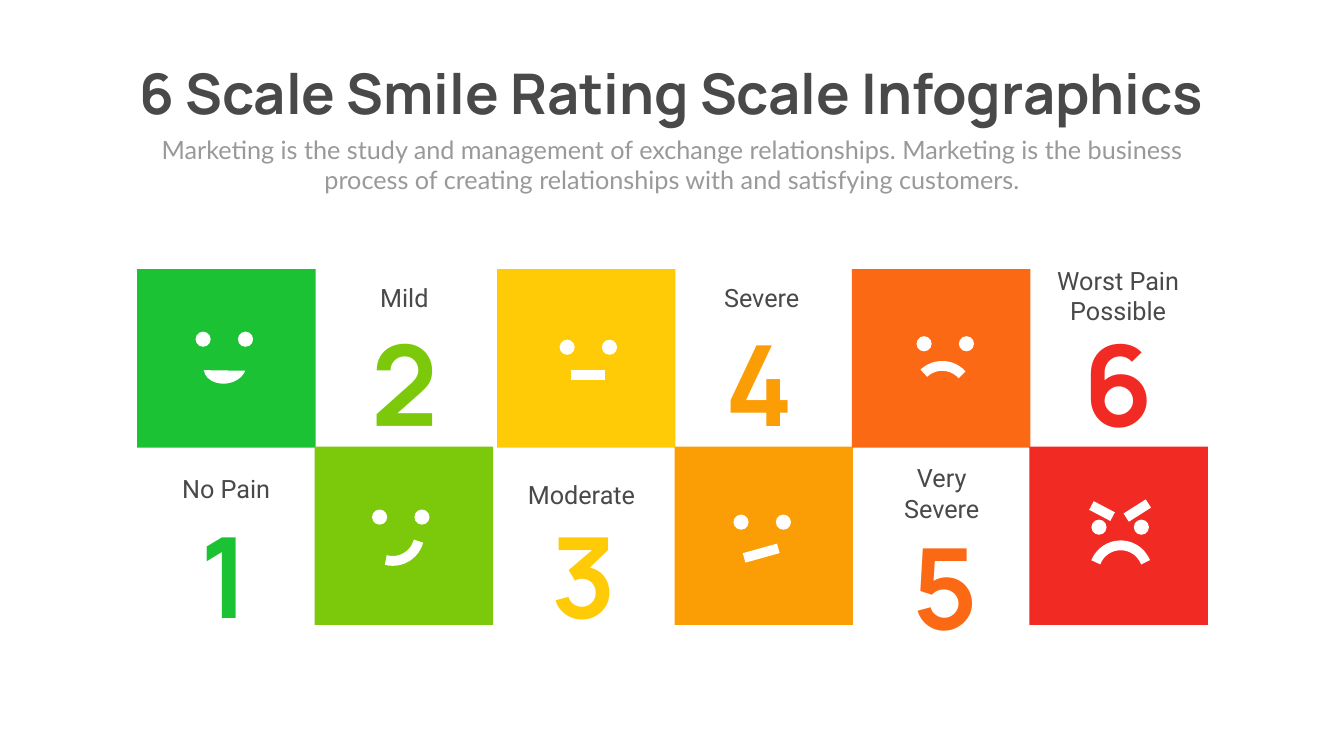
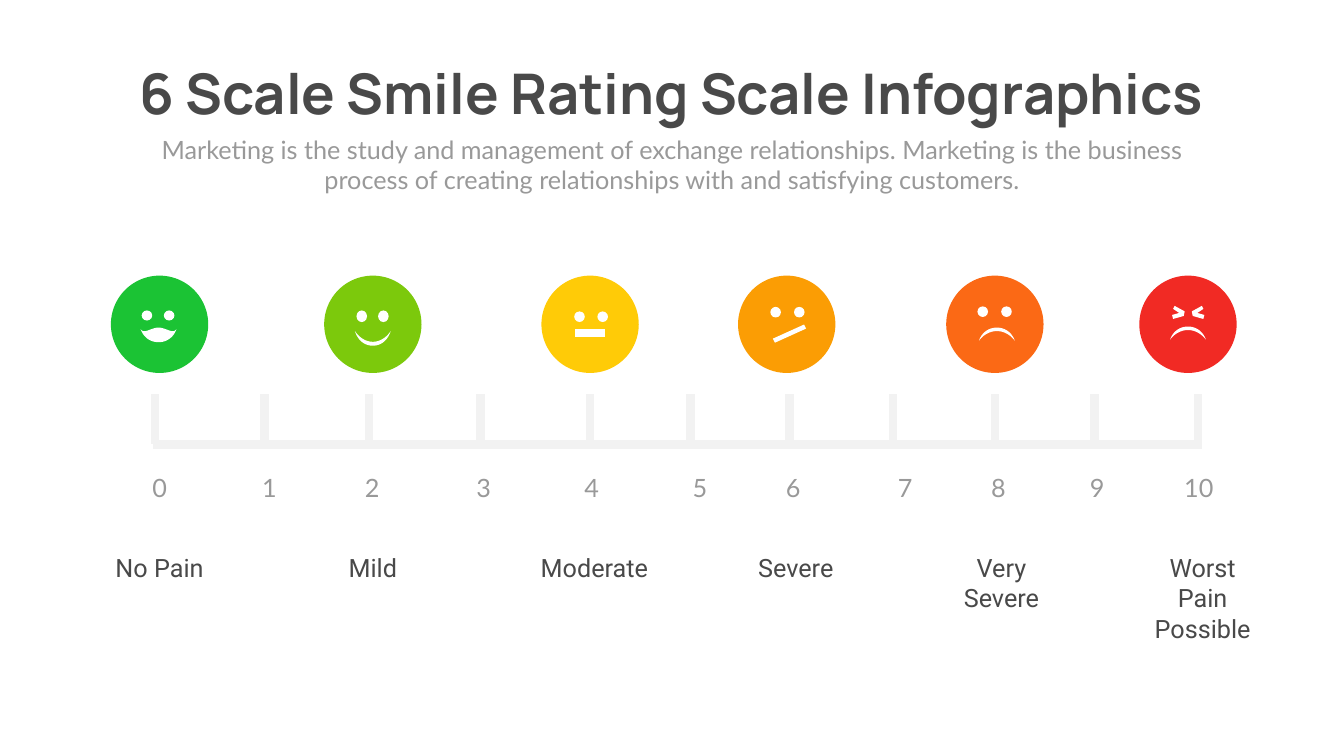
from dataclasses import dataclass

from pptx import Presentation
from pptx import util as u
from pptx.dml.color import RGBColor
from pptx.enum import shapes, text
from pptx.oxml import xmlchemy, ns


@dataclass(frozen=True)
class Theme:
    ink: str = "494949"
    muted: str = "999999"
    rule: str = "F2F2F2"
    white: str = "FFFFFF"
    ratings: tuple = ("1BC334", "7CC90C", "FFCB07", "FB9D04", "FB6915", "F12A24")
    title_font: str = "Manrope"
    body_font: str = "Lato"
    label_font: str = "Roboto"
    title_size: int = 80
    number_size: int = 160
    body_size: int = 36
    square_stroke: int = 14
    scale_stroke: int = 12


THEME = Theme()
TITLE = "6 Scale Smile Rating Scale Infographics"
SUBTITLE = ("Marketing is the study and management of exchange relationships. "
            "Marketing is the business process of creating relationships with "
            "and satisfying customers.")
KINDS = shapes.MSO_SHAPE
SQUARE = 254.88
SQUARE_STEP = 253.44
CIRCLE = 139
MOUTH_WIDTH = 51.1

SQUARE_EYES = ((83.5, 89.3), (82.1, 90), (89.3, 100.8), (84.2, 97.2), (92.2, 95.8), (88.6, 104.4))
SQUARE_CURVES = {
    0: (KINDS.CHORD, (102.2, 110.2, 46.1, 60.5), 262.7, (63.85, 162)),
    1: (KINDS.ARC, (73.4, 87.1, 76.3, 76.3), 105, (162, 0)),
    4: (KINDS.ARC, (90.7, 138.2, 76.3, 76.3), 318.1, (161.11, 0)),
    5: (KINDS.ARC, (92.2, 141.1, 76.3, 76.3), 318.1, (145.97, 12.37)),
}
SQUARE_LINES = {
    2: ((105.1, 151.2, 154.1, 151.2),),
    3: ((99.4, 159.1, 148.3, 145.4),),
    5: ((88.6, 84.2, 118.8, 100.1), (138.2, 101.5, 169.9, 81.4)),
}
SQUARE_CAPTIONS = (
    ("No Pain", 49.7, 35.3, 154.8), ("Mild", 63.4, 15.8, 129.6),
    ("Moderate", 28.1, 43.2, 185), ("Severe", 46.8, 15.8, 155.5),
    ("Very\nSevere", 17.3, 19.4, 221.8), ("Worst Pain Possible", 14.4, -9.4, 224.6),
)
SQUARE_NUMBERS = ((83.5, 81.4, 80.6), (72, 61.2, 114.5), (64.1, 81.4, 120.2),
                  (55.4, 61.2, 132.5), (69.1, 97.2, 128.2), (64.1, 61.2, 125.3))

CIRCLE_LEFTS = (158.4, 463, 773.3, 1054.1, 1351.4, 1627.2)
CIRCLE_EYES = {
    0: (43.9, 75.6, 49.7, 14.4), 1: (46.1, 77, 49.7, 16.6), 2: (46.8, 79.9, 51.1, 15.1),
    3: (46.1, 79.9, 44.6, 15.1), 4: (44.6, 78.5, 43.9, 15.1),
}
LAUGH = (((25.6, 0), (14.4, 0), (5, 10.1), (0, 2.2)),
         ((0, 2.2), (3.6, 13), (13, 20.9), (25.6, 20.9)))
FROWN = (((25.6, 0), (13, 0), (3.6, 7.9), (0, 18.7)),
         ((0, 18.7), (5.8, 10.8), (15.1, 5), (25.6, 5)))
SMILE = tuple(tuple((x, 20.9 - y * 1.12) for x, y in curve) for curve in FROWN)
CIRCLE_MOUTHS = {0: (LAUGH, 42.5, 74.2), 1: (SMILE, 43.9, 79.2),
                 4: (FROWN, 46.8, 74.2), 5: (FROWN, 43.9, 72.7)}
SLANTED_MOUTH = ((49.7, 90), (52.6, 95.8), (97.2, 75.6), (94.3, 69.8))
SQUINT = ((48.2, 61.9), (63.4, 57.6), (64.8, 51.1), (50.4, 43.2),
          (48.2, 47.5), (56.9, 53.3), (46.8, 56.2))
SQUINT_MIRROR = 139.7

TICKS = (221, 378, 527, 686.2, 842.4, 986.4, 1127.5, 1275.1, 1421.3, 1563.1, 1710.7)
DIGIT_LEFTS = (205.2, 362.2, 509, 668.2, 822.2, 977, 1110.2, 1270.1, 1403.3, 1544.4, 1673.3)
SCALE_CAPTIONS = (
    ("No Pain", 155.5, 144.7), ("Mild", 460.1, 144.7), ("Moderate", 756, 185.8),
    ("Severe", 1064.2, 144.7), ("Very Severe", 1357.9, 144.7),
    ("Worst Pain Possible", 1630.1, 175),
)


def points(values):
    return [u.Pt(value) for value in values]


def apply(target, formats):
    for name, value in formats.items():
        setattr(target, name, value)


def add_text(slide, box, content, font, size, color, bold=False, wrap=True):
    frame = slide.shapes.add_textbox(*points(box)).text_frame
    frame.text = content
    apply(frame, {"word_wrap": wrap, "auto_size": text.MSO_AUTO_SIZE.SHAPE_TO_FIT_TEXT})
    for paragraph in frame.paragraphs:
        paragraph.alignment = text.PP_ALIGN.CENTER
        for run in paragraph.runs:
            apply(run.font, {"name": font, "size": u.Pt(size), "bold": bold})
            run.font.color.rgb = RGBColor.from_string(color)


def add_label(slide, box, content):
    add_text(slide, box, content, THEME.label_font, THEME.body_size, THEME.ink)


def paint(shape, color):
    shape.shadow.inherit = False
    shape.fill.solid()
    shape.fill.fore_color.rgb = RGBColor.from_string(color)
    shape.line.fill.background()


def stroke(shape, color, width):
    shape.line.color.rgb = RGBColor.from_string(color)
    shape.line.width = u.Pt(width)


def add_filled(slide, kind, box, color):
    shape = slide.shapes.add_shape(kind, *points(box))
    paint(shape, color)
    return shape


def add_line(slide, ends, color, width):
    connector = slide.shapes.add_connector(shapes.MSO_CONNECTOR.STRAIGHT, *points(ends))
    stroke(connector, color, width)
    properties = connector._element.spPr
    properties.append(xmlchemy.OxmlElement("a:effectLst"))


def add_outline(slide, left, top, vertices):
    corners = [points((left + x, top + y)) for x, y in vertices]
    builder = slide.shapes.build_freeform(*corners[0])
    builder.add_line_segments(corners[1:], close=True)
    paint(builder.convert_to_shape(), THEME.white)


def sample_curve(curve, steps=12):
    weights = [((1 - t) ** 3, 3 * t * (1 - t) ** 2, 3 * t * t * (1 - t), t ** 3)
               for t in (step / steps for step in range(steps + 1))]
    return [tuple(sum(w * point[axis] for w, point in zip(row, curve)) for axis in (0, 1))
            for row in weights]


def mouth_outline(half):
    left_side = [vertex for curve in half for vertex in sample_curve(curve)]
    return left_side + [(MOUTH_WIDTH - x, y) for x, y in reversed(left_side)]


def add_header(slide, left, top):
    add_text(slide, (left, top, 1642.3, 104.4), TITLE, THEME.title_font,
             THEME.title_size, THEME.ink, bold=True, wrap=False)
    add_text(slide, (left + 72, top + 107.3, 1499, 94.3), SUBTITLE, THEME.body_font,
             THEME.body_size, THEME.muted)


def add_square_face(slide, index, left, top):
    add_filled(slide, KINDS.RECTANGLE, (left, top, SQUARE, SQUARE), THEME.ratings[index])
    eye_x, eye_y = SQUARE_EYES[index]
    for offset in (0, 60.5):
        add_filled(slide, KINDS.OVAL, (left + eye_x + offset, top + eye_y, 21.6, 21.6), THEME.white)
    for x1, y1, x2, y2 in SQUARE_LINES.get(index, ()):
        add_line(slide, (left + x1, top + y1, left + x2, top + y2), THEME.white, THEME.square_stroke)
    if index in SQUARE_CURVES:
        kind, (x, y, width, height), rotation, angles = SQUARE_CURVES[index]
        curve = add_filled(slide, kind, (left + x, top + y, width, height), THEME.white)
        curve.rotation = rotation
        for position, angle in enumerate(angles):
            curve.adjustments[position] = angle
        if kind == KINDS.ARC:
            curve.fill.background()
            stroke(curve, THEME.white, THEME.square_stroke)


def add_square_label(slide, index, left, top):
    caption, x, y, width = SQUARE_CAPTIONS[index]
    add_label(slide, (left + x, top + y, width, 54.7), caption)
    x, y, width = SQUARE_NUMBERS[index]
    add_text(slide, (left + x, top + y, width, 215.3), str(index + 1), THEME.title_font,
             THEME.number_size, THEME.ratings[index], bold=True, wrap=False)


def add_checkerboard(slide, left, top):
    for index in range(len(THEME.ratings)):
        column = left + index * SQUARE_STEP + (7.2 if index > 1 else 0)
        rows = (top, top + SQUARE_STEP)
        add_square_face(slide, index, column, rows[index % 2])
        add_square_label(slide, index, column, rows[1 - index % 2])


def add_round_face(slide, index, left, top):
    add_filled(slide, KINDS.OVAL, (left, top, CIRCLE, CIRCLE), THEME.ratings[index])
    if index in CIRCLE_EYES:
        *eyes, y, height = CIRCLE_EYES[index]
        for x in eyes:
            add_filled(slide, KINDS.OVAL, (left + x, top + y, 15.1, height), THEME.white)
    else:
        add_outline(slide, left, top, SQUINT)
        add_outline(slide, left, top, [(SQUINT_MIRROR - x, y) for x, y in SQUINT])
    if index in CIRCLE_MOUTHS:
        half, x, y = CIRCLE_MOUTHS[index]
        add_outline(slide, left + x, top + y, mouth_outline(half))
    elif index == 2:
        add_line(slide, (left + 48.2, top + 82.1, left + 91.4, top + 82.1),
                 THEME.white, THEME.scale_stroke)
    else:
        add_outline(slide, left, top, SLANTED_MOUTH)


def add_ruler(slide, top):
    base = top + 72
    add_line(slide, (218.2, base, 1717.2, base), THEME.rule, THEME.scale_stroke)
    for value, (tick, left) in enumerate(zip(TICKS, DIGIT_LEFTS)):
        add_line(slide, (tick, top, tick, base), THEME.rule, THEME.scale_stroke)
        width = 77.8 if value > 9 else 45.4
        add_text(slide, (left, top + 108, width, 51.1), str(value), THEME.body_font,
                 THEME.body_size, THEME.muted)


def build_square_slide(slide):
    add_header(slide, 138.2, 80.6)
    add_checkerboard(slide, 195.84, 384.5)


def build_scale_slide(slide):
    add_header(slide, 138.2, 80.6)
    add_ruler(slide, 563)
    for index, left in enumerate(CIRCLE_LEFTS):
        add_round_face(slide, index, left, 393.8)
    for caption, left, width in SCALE_CAPTIONS:
        add_label(slide, (left, 785.5, width, 51.1), caption)


def main():
    presentation = Presentation()
    apply(presentation, {"slide_width": u.Pt(1919.52), "slide_height": u.Pt(1080)})
    for build in (build_square_slide, build_scale_slide):
        build(presentation.slides.add_slide(presentation.slide_layouts[6]))
    presentation.save("out.pptx")


if __name__ == "__main__":
    main()
